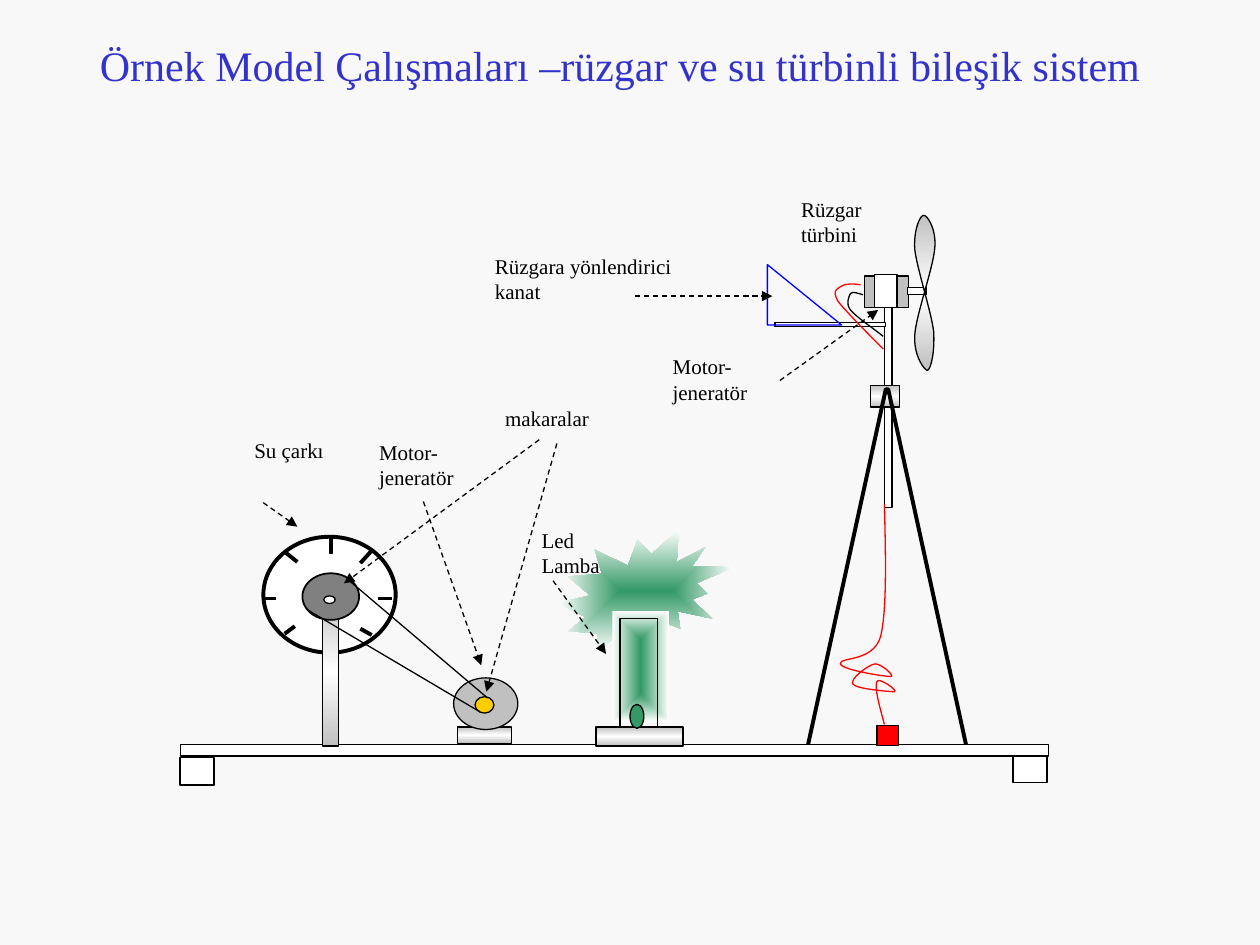
"""Build the slide of a combined wind and water turbine model."""
from dataclasses import dataclass
from typing import Optional, Union

from lxml import etree
from pptx import Presentation
from pptx import util as u
from pptx.dml.color import RGBColor
from pptx.enum import dml, shapes, text
from pptx.oxml import ns

Point = tuple[float, float]
G = shapes.MSO_SHAPE
RECT, OVAL = G.RECTANGLE, G.OVAL


@dataclass(frozen=True)
class Gradient:
    stops: tuple[tuple[int, str], ...]
    radial: bool = False


@dataclass(frozen=True)
class Theme:
    back: str = "F8F8F8"
    title: str = "3333CC"
    black: str = "000000"
    white: str = "FFFFFF"
    silver: str = "C0C0C0"
    gray: str = "808080"
    green: str = "339966"
    gold: str = "FFCC00"
    red: str = "FF0000"
    blue: str = "0000FF"
    font: str = "Times New Roman"
    title_size: int = 24
    title_end_size: int = 28
    label_size: int = 12
    thin: float = 0.75
    thick: float = 2.25


T = Theme()
METAL = Gradient(((0, T.silver), (50, T.white), (100, T.silver)))
GLOW = Gradient(((0, T.green), (100, T.white)), radial=True)
Paint = Optional[Union[str, Gradient]]


@dataclass(frozen=True)
class Part:
    kind: G
    box: tuple[float, float, float, float]
    fill: Paint = T.white
    line: Optional[str] = T.black
    width: float = T.thin


@dataclass(frozen=True)
class Line:
    start: Point
    end: Point
    width: float = T.thin
    arrow: bool = False


@dataclass(frozen=True)
class Outline:
    points: tuple[Point, ...]
    line: str = T.black
    fill: Paint = None
    width: float = T.thin
    closed: bool = False
    curved: bool = True


@dataclass(frozen=True)
class Label:
    runs: tuple[tuple[str, int], ...]
    box: tuple[float, float, float, float]
    color: str = T.black


TITLE = Label((("Örnek Model Çalışmaları –rüzgar ve su türbinli bileşik sistem", T.title_size),
               (" ", T.title_end_size)), (0.62, 0.28, 8.7, 0.42), T.title)
GLOWS = [Part(G.EXPLOSION2, (4.43, 4.2, 1.4, 0.98), GLOW, None),
         Part(RECT, (4.86, 4.85, 0.45, 0.88), GLOW, None)]
WHEEL = [Part(OVAL, (2.09, 4.26, 1.05, 0.92), width=T.thick),
         Part(OVAL, (2.59, 4.71, 0.08, 0.07), width=T.thick)]
PADDLES = [Line(a, b, T.thick) for a, b in (
    ((2.63, 4.27), (2.63, 4.4)), ((3, 4.75), (3.11, 4.75)),
    ((2.09, 4.75), (2.19, 4.75)), ((2.95, 4.37), (2.86, 4.47)),
    ((2.34, 4.97), (2.26, 5.03)), ((2.26, 4.38), (2.36, 4.46)),
    ((2.86, 4.99), (2.95, 5.04)))]
TURBINE = [
    Part(RECT, (6.86, 2.19, 0.35, 0.25), T.silver),
    Part(RECT, (6.94, 2.18, 0.18, 0.26)),
    Part(RECT, (7.2, 2.28, 0.15, 0.06)),
    Part(RECT, (7.02, 2.44, 0.06, 1.59)),
    Outline(((7.26, 1.98), (7.25, 1.83), (7.3, 1.71), (7.33, 1.71),
             (7.35, 1.7), (7.43, 1.8), (7.42, 1.96), (7.41, 2.12), (7.27, 2.5), (7.26, 2.66),
             (7.25, 2.83), (7.34, 2.94), (7.36, 2.94), (7.39, 2.93), (7.42, 2.79), (7.41, 2.63),
             (7.39, 2.47), (7.28, 2.14), (7.26, 1.98)), fill=METAL, closed=True),
    Part(RECT, (6.15, 2.56, 0.88, 0.03)),
    Part(G.RIGHT_TRIANGLE, (6.09, 2.1, 0.59, 0.48), None, T.blue),
    Part(RECT, (6.91, 3.06, 0.23, 0.17), METAL),
    Outline(((7.68, 5.97), (7.05, 3.09), (7.03, 3.09), (6.4, 5.97)),
            width=T.thick, closed=True, curved=False)]
BENCH = [
    Part(RECT, (1.43, 6.01, 0.27, 0.22)),
    Part(RECT, (8.04, 5.99, 0.27, 0.22)),
    Part(RECT, (1.43, 5.91, 6.89, 0.09)),
    Part(RECT, (2.56, 4.73, 0.13, 1.19), METAL)]
PULLEYS = [
    Part(RECT, (3.63, 5.77, 0.43, 0.13), METAL),
    Part(OVAL, (3.6, 5.38, 0.51, 0.41), T.silver),
    Part(OVAL, (3.77, 5.53, 0.15, 0.13), T.gold),
    Part(OVAL, (2.4, 4.55, 0.45, 0.37), T.gray, width=1),
    Part(OVAL, (2.57, 4.73, 0.09, 0.06)),
    Line((2.75, 4.59), (3.87, 5.54)), Line((3.81, 5.65), (2.44, 4.84))]
LAMP = [
    Part(RECT, (6.96, 5.76, 0.17, 0.16), T.red),
    Part(RECT, (4.92, 4.91, 0.3, 0.87), None),
    Part(RECT, (4.73, 5.77, 0.69, 0.15), METAL),
    Part(OVAL, (5, 5.59, 0.11, 0.19), T.green)]
*LABELS, PULLEY_LABEL = [Label(((words, T.label_size),), box) for words, box in (
    ("Led Lamba", (4.2, 4.14, 0.79, 0.56)),
    ("Rüzgara yönlendirici kanat", (3.83, 1.96, 1.65, 0.7)),
    ("Rüzgar türbini", (6.26, 1.51, 0.96, 0.63)),
    ("Su çarkı", (1.92, 3.42, 0.79, 0.56)),
    ("Motor-jeneratör", (5.24, 2.76, 1.05, 0.56)),
    ("Motor-jeneratör", (2.91, 3.44, 1.05, 0.56)),
    ("makaralar", (3.91, 3.17, 1.05, 0.56)))]
POINTERS = [Line(a, b, arrow=True) for a, b in (
    ((2.09, 3.99), (2.36, 4.18)), ((3.36, 3.98), (3.82, 5.28)),
    ((4.39, 4.61), (4.81, 5.19)), ((6.19, 3.02), (6.97, 2.46)),
    ((5.04, 2.35), (6.13, 2.35)), ((4.28, 3.49), (2.73, 4.63)),
    ((4.42, 3.52), (3.86, 5.49)))]
CABLES = [
    Outline(((6.85, 2.34), (6.81, 2.33), (6.77, 2.31), (6.75, 2.33), (6.74, 2.35),
             (6.71, 2.41), (6.75, 2.46), (6.8, 2.52), (6.91, 2.59), (7.01, 2.67))),
    Outline(((6.83, 2.26), (6.77, 2.25), (6.71, 2.25), (6.68, 2.27), (6.65, 2.29),
             (6.6, 2.3), (6.65, 2.39), (6.71, 2.47), (6.95, 2.71), (7.01, 2.77)), T.red),
    Outline(((7.02, 4), (7.03, 4.42), (7.04, 4.84), (6.99, 5.05),
             (6.93, 5.26), (6.66, 5.21), (6.67, 5.27), (6.69, 5.32), (7.03, 5.37), (7.07, 5.37),
             (7.11, 5.37), (6.99, 5.26), (6.94, 5.27), (6.89, 5.28), (6.74, 5.39), (6.77, 5.43),
             (6.8, 5.47), (7.07, 5.49), (7.1, 5.49), (7.13, 5.48), (6.97, 5.37), (6.96, 5.41),
             (6.94, 5.46), (6.98, 5.6), (7.02, 5.75)), T.red)]


def sub(parent, tag: str, **attrs: str):
    """Append a DrawingML element."""
    return etree.SubElement(parent, ns.qn(tag), attrs)


def paint(sp, item: Union[Part, Outline]) -> None:
    """Set fill and outline and drop the shadow."""
    sp.shadow.inherit = False
    if item.fill is None:
        sp.fill.background()
    else:
        sp.fill.solid()
        if isinstance(item.fill, Gradient):
            solid = sp._element.spPr.find(ns.qn("a:solidFill"))
            grad = etree.Element(ns.qn("a:gradFill"), rotWithShape="1")
            stops = sub(grad, "a:gsLst")
            for pos, color in item.fill.stops:
                sub(sub(stops, "a:gs", pos=str(pos * 1000)), "a:srgbClr", val=color)
            if item.fill.radial:
                sub(sub(grad, "a:path", path="shape"), "a:fillToRect",
                    **dict.fromkeys("ltrb", "50000"))
            else:
                sub(grad, "a:lin", ang="5400000", scaled="1")
            solid.getparent().replace(solid, grad)
        else:
            sp.fill.fore_color.rgb = RGBColor.from_string(item.fill)
    if item.line is None:
        sp.line.fill.background()
    else:
        sp.line.color.rgb = RGBColor.from_string(item.line)
        sp.line.width = u.Pt(item.width)


def add_outline(s, item: Outline) -> None:
    """Draw a freeform, joining each three points into a cubic segment if curved."""
    first, *rest = [(u.Inches(x), u.Inches(y)) for x, y in item.points]
    builder = s.shapes.build_freeform(*first)
    builder.add_line_segments(rest, close=item.closed)
    sp = builder.convert_to_shape()
    if item.curved:
        steps = list(sp._element.iter(ns.qn("a:lnTo")))
        for i in range(0, len(steps), 3):
            cubic = etree.Element(ns.qn("a:cubicBezTo"))
            steps[i].addprevious(cubic)
            for step in steps[i:i + 3]:
                cubic.append(step[0])
                step.getparent().remove(step)
    paint(sp, item)


def add_line(s, item: Line) -> None:
    """Draw a plain line or a dashed arrow."""
    cn = s.shapes.add_connector(shapes.MSO_CONNECTOR.STRAIGHT,
                                *map(u.Inches, item.start + item.end))
    cn.line.color.rgb = RGBColor.from_string(T.black)
    cn.line.width = u.Pt(item.width)
    if item.arrow:
        cn.line.dash_style = dml.MSO_LINE.DASH
        sub(cn.line._get_or_add_ln(), "a:tailEnd", type="triangle")
    sub(cn._element.spPr, "a:effectLst")


def add_text(s, item: Label, **frame) -> None:
    """Add a wrapped text box, centred when frame values are given."""
    tf = s.shapes.add_textbox(*map(u.Inches, item.box)).text_frame
    for name, value in {"word_wrap": True, **frame}.items():
        setattr(tf, name, value)
    p = tf.paragraphs[0]
    if frame:
        p.alignment = text.PP_ALIGN.CENTER
    for words, size in item.runs:
        r = p.add_run()
        r.text = words
        for name, value in {"name": T.font, "size": u.Pt(size)}.items():
            setattr(r.font, name, value)
        r.font.color.rgb = RGBColor.from_string(item.color)


def draw(s, items: list) -> None:
    """Draw the items from back to front."""
    adders = {Outline: add_outline, Line: add_line, Label: add_text}
    for item in items:
        if isinstance(item, Part):
            paint(s.shapes.add_shape(item.kind, *map(u.Inches, item.box)), item)
        else:
            adders[type(item)](s, item)


def main() -> None:
    """Build and save the slide."""
    prs = Presentation()
    prs.slide_width, prs.slide_height = u.Inches(10), u.Inches(7.5)
    s = prs.slides.add_slide(prs.slide_layouts[6])
    s.background.fill.solid()
    s.background.fill.fore_color.rgb = RGBColor.from_string(T.back)
    add_text(s, TITLE, vertical_anchor=text.MSO_ANCHOR.MIDDLE)
    draw(s, GLOWS + WHEEL + PADDLES + TURBINE + BENCH + PULLEYS + LAMP + LABELS
         + POINTERS[:5] + CABLES + [PULLEY_LABEL] + POINTERS[5:])
    prs.save("out.pptx")


if __name__ == "__main__":
    main()
